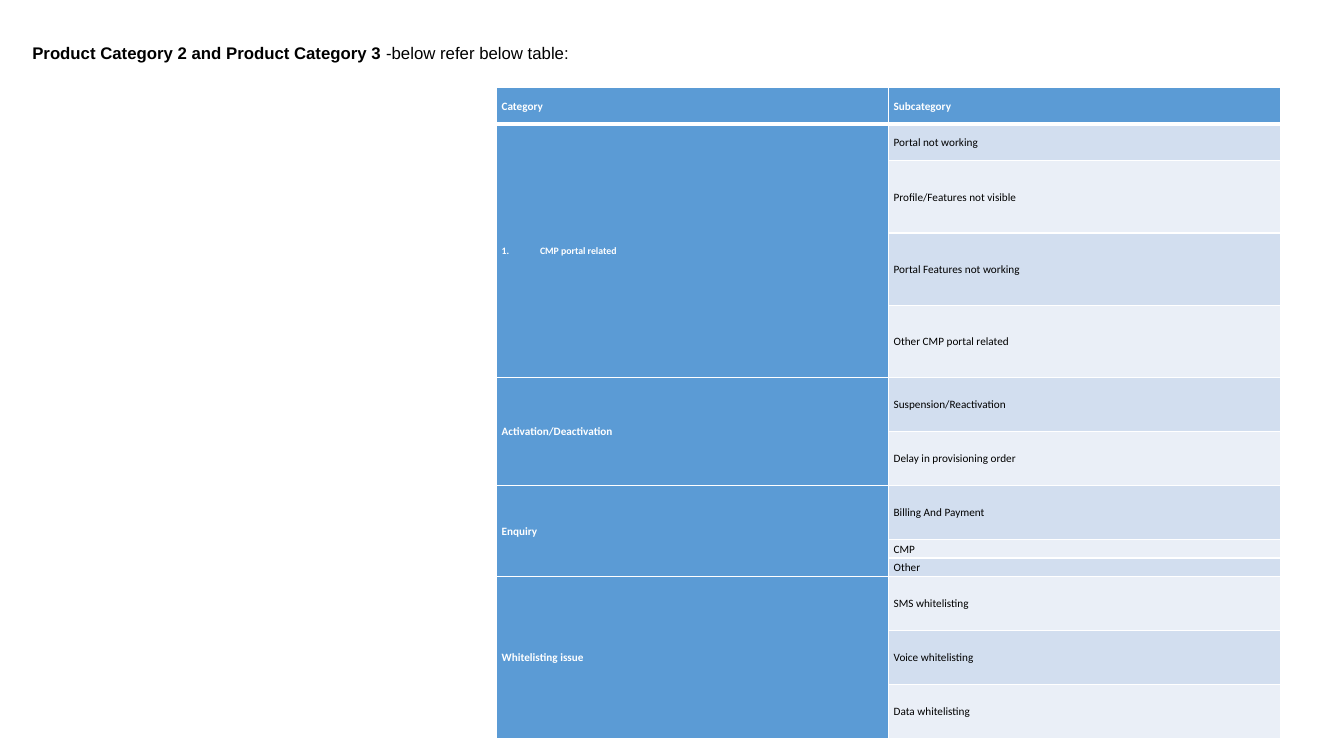
from dataclasses import dataclass

from lxml import etree
from pptx import Presentation
from pptx import util as u
from pptx.dml.color import RGBColor
from pptx.enum import text as t
from pptx.oxml import ns


@dataclass(frozen=True)
class Theme:
    blue: str = "5B9BD5"
    bands: tuple = ("D2DEEF", "EAEFF7")
    white: str = "FFFFFF"
    black: str = "000000"
    head: str = "Arial"
    body: str = "Calibri"
    title: int = 12
    cell: int = 8
    small: int = 7
    thin: int = 1
    thick: int = 3


THEME = Theme()
HEADS = ("Category", "Subcategory")
HIGH = 0.92
# Each group: category, then its subcategories with row heights in cm
GROUPS = [
    ("CMP portal related", [
        ("Portal not working", HIGH),
        ("Profile/Features not visible", 1.82),
        ("Portal Features not working", 1.82),
        ("Other CMP portal related", 1.82)]),
    ("Activation/Deactivation", [
        ("Suspension/Reactivation", 1.36),
        ("Delay in provisioning order", 1.36)]),
    ("Enquiry", [
        ("Billing And Payment", 1.36),
        ("CMP", 0.47),
        ("Other", 0.47)]),
    ("Whitelisting issue", [
        ("SMS whitelisting", 1.36),
        ("Voice whitelisting", 1.36),
        ("Data whitelisting", 1.36)]),
]


def write(para, words, size=THEME.cell, font=THEME.body, color=THEME.black,
          bold=False):
    run = para.add_run()
    run.text = words
    run.font.size = u.Pt(size)
    run.font.name = font
    run.font.bold = bold
    run.font.color.rgb = RGBColor.from_string(color)


def number(para, indent):
    """Number the paragraph with a hanging indent."""
    props = para._p.get_or_add_pPr()
    props.set("marL", str(indent))
    props.set("indent", str(-indent))
    etree.SubElement(props, ns.qn("a:buFont"), typeface="+mj-lt")
    etree.SubElement(props, ns.qn("a:buAutoNum"), type="arabicPeriod")


def edge(cell, top, bottom):
    """Draw white borders, given the top and bottom widths in points."""
    props = cell._tc.get_or_add_tcPr()
    widths = {"lnL": THEME.thin, "lnR": THEME.thin, "lnT": top, "lnB": bottom}
    for side, width in widths.items():
        line = etree.SubElement(props, ns.qn("a:" + side), w=str(u.Pt(width)))
        fill = etree.SubElement(line, ns.qn("a:solidFill"))
        etree.SubElement(fill, ns.qn("a:srgbClr"), val=THEME.white)


def style(cell, row, fill):
    edge(cell, THEME.thick if row == 1 else THEME.thin,
         THEME.thick if row == 0 else THEME.thin)
    cell.fill.solid()
    cell.fill.fore_color.rgb = RGBColor.from_string(fill)
    cell.margin_left = cell.margin_right = u.Cm(0.12)
    cell.margin_top = cell.margin_bottom = 0
    cell.vertical_anchor = t.MSO_ANCHOR.MIDDLE
    cell.text_frame.paragraphs[0].line_spacing = 1.07


def heading(slide, left, top, width, height):
    title = slide.shapes.title
    title.left, title.top, title.width, title.height = left, top, width, height
    frame = title.text_frame
    frame.word_wrap = True
    frame.auto_size = t.MSO_AUTO_SIZE.NONE
    frame.vertical_anchor = t.MSO_ANCHOR.TOP
    para = frame.paragraphs[0]
    para.alignment = t.PP_ALIGN.LEFT
    form = dict(size=THEME.title, font=THEME.head)
    write(para, "Product Category 2 and Product Category 3", bold=True, **form)
    write(para, " -below refer below table:", **form)


def grid(slide, left, top, width):
    highs = [HIGH] + [high for _, subs in GROUPS for _, high in subs]
    table = slide.shapes.add_table(len(highs), len(HEADS), left, top, width,
                                   u.Cm(sum(highs))).table
    for col in table.columns:
        col.width = width // len(HEADS)
    for row, high in enumerate(highs):
        table.rows[row].height = u.Cm(high)
        band = THEME.bands[(row - 1) % 2] if row else THEME.blue
        style(table.cell(row, 0), row, THEME.blue)
        style(table.cell(row, 1), row, band)

    def put(row, col, words, **form):
        para = table.cell(row, col).text_frame.paragraphs[0]
        write(para, words, **form)
        return para

    strong = dict(color=THEME.white, bold=True)
    for col, words in enumerate(HEADS):
        put(0, col, words, **strong)
    row = 1
    for name, subs in GROUPS:
        first = row == 1
        para = put(row, 0, name, size=THEME.small if first else THEME.cell,
                   **strong)
        if first:
            number(para, u.Cm(0.97))
        for step, (words, _) in enumerate(subs):
            put(row + step, 1, words)
        last = row + len(subs) - 1
        table.cell(row, 0).merge(table.cell(last, 0))
        row = last + 1


def main():
    deck = Presentation()
    deck.slide_width, deck.slide_height = u.Cm(33.87), u.Cm(19.05)
    slide = deck.slides.add_slide(deck.slide_layouts[5])
    heading(slide, u.Cm(0.56), u.Cm(0.95), u.Cm(14.45), u.Cm(1.55))
    grid(slide, u.Cm(12.52), u.Cm(2.21), u.Cm(19.76))
    deck.save("out.pptx")


if __name__ == "__main__":
    main()
